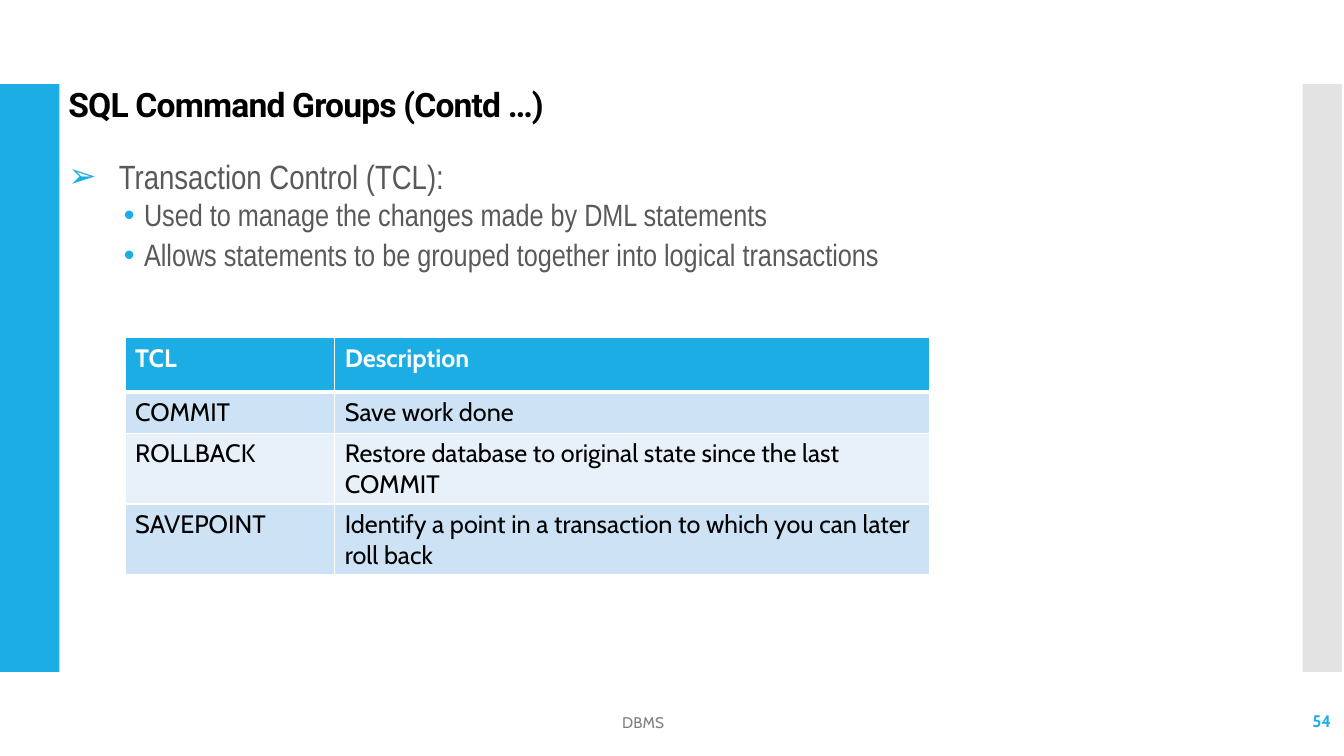
from dataclasses import dataclass

from lxml.etree import SubElement
from pptx import Presentation
from pptx.dml.color import RGBColor as Color
from pptx.enum.shapes import MSO_SHAPE as Shape
from pptx.enum.text import MSO_ANCHOR as Anchor, PP_ALIGN as Align
from pptx.oxml import parse_xml
from pptx.oxml.ns import nsdecls, qn
from pptx.util import Inches, Pt


@dataclass(frozen=True)
class Theme:
    accent: str = "1CADE4"
    side: str = "C8C8C8"
    ink: str = "000000"
    body: str = "595959"
    muted: str = "808080"
    white: str = "FFFFFF"
    bands: tuple = ("CDE3F5", "E8F1FA")
    title_font: str = "Roboto"
    body_font: str = "Arial Narrow"
    base_font: str = "Cabin"
    title_size: int = 24
    lead_size: int = 24
    point_size: int = 22
    table_size: int = 18
    number_size: int = 12
    footer_size: int = 11


THEME = Theme()
WIDTH, HEIGHT = 13.33, 7.5
TITLE = "SQL Command Groups (Contd …)"
LEAD = "Transaction Control (TCL):"
POINTS = [
    "Used to manage the changes made by DML statements",
    "Allows statements to be grouped together into logical transactions",
]
COMMANDS = [
    ("TCL", "Description"),
    ("COMMIT", "Save work done"),
    ("ROLLBACK", "Restore database to original state since the last COMMIT"),
    ("SAVEPOINT", "Identify a point in a transaction to which you can later roll back"),
]
COLUMN_WIDTHS = (2.08, 5.9)
ROW_HEIGHTS = (0.54, 0.41, 0.7, 0.7)


def inches(box):
    return [Inches(length) for length in box]


def add_span(para, text, font, size, color, bold=False):
    span = para.add_run()
    span.text = text
    span.font.name = font
    span.font.size = Pt(size)
    span.font.bold = bold
    span.font.color.rgb = Color.from_string(color)
    return span


def add_frame(page, box, anchor=Anchor.MIDDLE):
    frame = page.shapes.add_textbox(*inches(box)).text_frame
    frame.word_wrap = True
    frame.vertical_anchor = anchor
    return frame


def add_bullet(para, mark, left, hanging):
    props = para._p.get_or_add_pPr()
    props.set("marL", str(Inches(left)))
    props.set("indent", str(-Inches(hanging)))
    color = SubElement(props, qn("a:buClr"))
    SubElement(color, qn("a:srgbClr"), val=THEME.accent)
    SubElement(props, qn("a:buFont"), typeface="Arial")
    SubElement(props, qn("a:buChar"), char=mark)
    para.line_spacing = 0.9


def draw_band(page, box, color, opacity=100):
    band = page.shapes.add_shape(Shape.RECTANGLE, *inches(box))
    band.shadow.inherit = False
    band.fill.solid()
    band.fill.fore_color.rgb = Color.from_string(color)
    band.line.fill.background()
    if opacity < 100:
        tint = band._element.spPr.find(".//" + qn("a:srgbClr"))
        SubElement(tint, qn("a:alpha"), val=str(opacity * 1000))


def draw_title(page, box):
    para = add_frame(page, box).paragraphs[0]
    para.line_spacing = 0.9
    span = add_span(para, TITLE, THEME.title_font, THEME.title_size, THEME.ink, True)
    span._r.get_or_add_rPr().set("spc", "-60")


def draw_body(page, box):
    frame = add_frame(page, box, Anchor.TOP)
    lead = frame.paragraphs[0]
    add_bullet(lead, "➢", 0.5, 0.5)
    add_span(lead, LEAD, THEME.body_font, THEME.lead_size, THEME.body)
    for point in POINTS:
        para = frame.add_paragraph()
        para.level = 1
        add_bullet(para, "•", 0.75, 0.2)
        para.space_before = para.space_after = Pt(2.5)
        add_span(para, point, THEME.body_font, THEME.point_size, THEME.body)


def set_borders(cell, widths):
    props = cell._tc.get_or_add_tcPr()
    for place, (side, width) in enumerate(widths.items()):
        line = parse_xml(
            f'<a:ln{side} {nsdecls("a")} w="{Pt(width)}"><a:solidFill>'
            f'<a:srgbClr val="{THEME.white}"/></a:solidFill></a:ln{side}>'
        )
        props.insert(place, line)


def draw_table(page, box):
    table = page.shapes.add_table(len(COMMANDS), len(COLUMN_WIDTHS), *inches(box)).table
    for column, width in zip(table.columns, COLUMN_WIDTHS):
        column.width = Inches(width)
    for index, (row, height) in enumerate(zip(table.rows, ROW_HEIGHTS)):
        row.height = Inches(height)
        header = index == 0
        fill = THEME.accent if header else THEME.bands[(index - 1) % 2]
        ink = THEME.white if header else THEME.ink
        widths = {"L": 1, "R": 1, "T": 3 if index == 1 else 1, "B": 3 if header else 1}
        for cell, text in zip(row.cells, COMMANDS[index]):
            cell.fill.solid()
            cell.fill.fore_color.rgb = Color.from_string(fill)
            set_borders(cell, widths)
            para = cell.text_frame.paragraphs[0]
            add_span(para, text, THEME.base_font, THEME.table_size, ink, header)


def draw_footer(page, box, text, align, size, color, bold=False):
    para = add_frame(page, box).paragraphs[0]
    para.alignment = align
    add_span(para, text, THEME.base_font, size, color, bold)


def build_page(page):
    band_top, band_height = HEIGHT / 9, HEIGHT * 7 / 9
    draw_band(page, (0, band_top, 0.59, band_height), THEME.accent)
    draw_band(page, (12.92, band_top, 0.39, band_height), THEME.side, 50)
    draw_body(page, (0.58, 1.54, 11.62, 5.36))
    draw_title(page, (0.58, 0.86, 10.44, 0.4))
    draw_footer(page, (3.15, 6.97, 6.46, 0.4), "DBMS", Align.CENTER,
                THEME.footer_size, THEME.muted)
    draw_footer(page, (11.63, 6.95, 1.67, 0.4), "54", Align.RIGHT,
                THEME.number_size, THEME.accent, True)
    draw_table(page, (1.24, 3.35, sum(COLUMN_WIDTHS), sum(ROW_HEIGHTS)))


def main():
    deck = Presentation()
    deck.slide_width, deck.slide_height = Inches(WIDTH), Inches(HEIGHT)
    build_page(deck.slides.add_slide(deck.slide_layouts[6]))
    deck.save("out.pptx")


if __name__ == "__main__":
    main()
